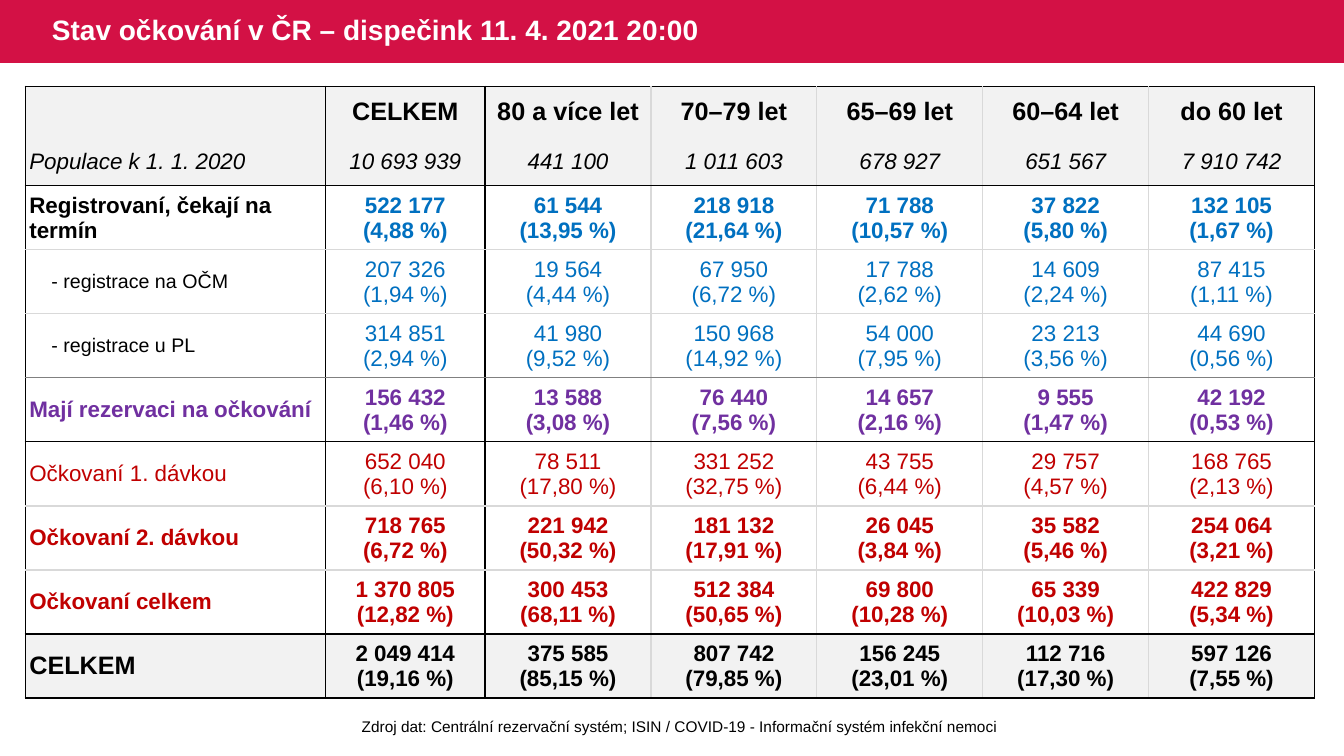
import copy
import dataclasses

import pptx
import pptx.dml.color
import pptx.enum.shapes
import pptx.enum.text
import pptx.oxml
import pptx.oxml.ns
import pptx.util

EMU_PER_PX = 9525
ANCHOR = pptx.enum.text.MSO_ANCHOR
ALIGN = pptx.enum.text.PP_ALIGN


@dataclasses.dataclass(frozen=True)
class Theme:
    font: str = "Arial"
    band: str = "D31145"
    white: str = "FFFFFF"
    black: str = "000000"
    shade: str = "F2F2F2"
    light: str = "D9D9D9"
    mid: str = "808080"
    blue: str = "0070C0"
    purple: str = "7030A0"
    red: str = "C00000"
    title: int = 20
    head: int = 18
    body: int = 16
    sub: int = 14
    source: int = 11


T = Theme()

COLUMN_WIDTHS = [286, 152] + [158] * 5
ROW_HEIGHTS = [49, 46] + [61] * 8
VERTICAL_EDGES = [T.black] * 3 + [T.light] * 4 + [T.black]
HORIZONTAL_EDGES = [T.black, None, T.black, T.light, T.light, T.mid,
                    T.black, T.light, T.light, T.black, T.black]
SHADED_ROWS = (0, 1, 9)

HEAD = dict(size=T.head, bold=True)
POPULATION = dict(italic=True)
PLAIN = dict()
BOLD = dict(bold=True)
SUB = dict(size=T.sub, indent=21)
TOTAL = dict(size=T.head, bold=True)

ROWS = [
    ("", HEAD, HEAD, "CELKEM; 80 a více let; 70–79 let; 65–69 let; 60–64 let; do 60 let"),
    ("Populace k 1. 1. 2020", POPULATION, POPULATION,
     "10 693 939; 441 100; 1 011 603; 678 927; 651 567; 7 910 742"),
    ("Registrovaní, čekají na termín", BOLD, dict(BOLD, color=T.blue),
     "522 177 (4,88 %); 61 544 (13,95 %); 218 918 (21,64 %); "
     "71 788 (10,57 %); 37 822 (5,80 %); 132 105 (1,67 %)"),
    ("- registrace na OČM", SUB, dict(color=T.blue),
     "207 326 (1,94 %); 19 564 (4,44 %); 67 950 (6,72 %); "
     "17 788 (2,62 %); 14 609 (2,24 %); 87 415 (1,11 %)"),
    ("- registrace u PL", SUB, dict(color=T.blue),
     "314 851 (2,94 %); 41 980 (9,52 %); 150 968 (14,92 %); "
     "54 000 (7,95 %); 23 213 (3,56 %); 44 690 (0,56 %)"),
    ("Mají rezervaci na očkování", dict(BOLD, color=T.purple), dict(BOLD, color=T.purple),
     "156 432 (1,46 %); 13 588 (3,08 %); 76 440 (7,56 %); "
     "14 657 (2,16 %); 9 555 (1,47 %); 42 192 (0,53 %)"),
    ("Očkovaní 1. dávkou", dict(PLAIN, color=T.red), dict(PLAIN, color=T.red),
     "652 040 (6,10 %); 78 511 (17,80 %); 331 252 (32,75 %); "
     "43 755 (6,44 %); 29 757 (4,57 %); 168 765 (2,13 %)"),
    ("Očkovaní 2. dávkou", dict(BOLD, color=T.red), dict(BOLD, color=T.red),
     "718 765 (6,72 %); 221 942 (50,32 %); 181 132 (17,91 %); "
     "26 045 (3,84 %); 35 582 (5,46 %); 254 064 (3,21 %)"),
    ("Očkovaní celkem", dict(BOLD, color=T.red), dict(BOLD, color=T.red),
     "1 370 805 (12,82 %); 300 453 (68,11 %); 512 384 (50,65 %); "
     "69 800 (10,28 %); 65 339 (10,03 %); 422 829 (5,34 %)"),
    ("CELKEM", TOTAL, BOLD,
     "2 049 414 (19,16 %); 375 585 (85,15 %); 807 742 (79,85 %); "
     "156 245 (23,01 %); 112 716 (17,30 %); 597 126 (7,55 %)"),
]


def px(n):
    return pptx.util.Emu(n * EMU_PER_PX)


def rgb(color):
    return pptx.dml.color.RGBColor.from_string(color)


def set_attrs(obj, values):
    for name, value in values.items():
        setattr(obj, name, value)


def write(p, text, size=T.body, color=T.black, bold=False, italic=False, indent=0):
    p.text = text
    for r in p.runs:
        set_attrs(r.font, dict(name=T.font, size=pptx.util.Pt(size), bold=bold, italic=italic))
        r.font.color.rgb = rgb(color)
    for br in p._p.findall(pptx.oxml.ns.qn("a:br")):
        br.append(copy.deepcopy(p.runs[0]._r.rPr))
    if indent:
        p._p.get_or_add_pPr().set("marL", str(px(indent)))


def add_text(s, box, text, wrap, anchor, **style):
    tf = s.shapes.add_textbox(*map(px, box)).text_frame
    set_attrs(tf, dict(word_wrap=wrap, vertical_anchor=anchor))
    write(tf.paragraphs[0], text, **style)
    return tf


def add_band(s, box):
    sp = s.shapes.add_shape(pptx.enum.shapes.MSO_SHAPE.RECTANGLE, *map(px, box))
    sp.shadow.inherit = False
    sp.fill.solid()
    sp.fill.fore_color.rgb = rgb(T.band)
    sp.line.fill.background()


def set_borders(cell, row, col):
    edges = [("lnL", VERTICAL_EDGES[col]), ("lnR", VERTICAL_EDGES[col + 1]),
             ("lnT", HORIZONTAL_EDGES[row]), ("lnB", HORIZONTAL_EDGES[row + 1])]
    tcPr = cell._tc.get_or_add_tcPr()
    for i, (tag, color) in enumerate(edges):
        fill = f'<a:solidFill><a:srgbClr val="{color}"/></a:solidFill>' if color else "<a:noFill/>"
        ln = f'<a:{tag} {pptx.oxml.ns.nsdecls("a")} w="12700">{fill}</a:{tag}>'
        tcPr.insert(i, pptx.oxml.parse_xml(ln))


def fill_cell(cell, row, col, text, style):
    side, top = (4, 0) if col == 0 or row == 0 else (1, 1)
    set_attrs(cell, dict(margin_left=px(side), margin_right=px(side), margin_top=px(top),
                         margin_bottom=0, vertical_anchor=ANCHOR.MIDDLE))
    if row in SHADED_ROWS:
        cell.fill.solid()
        cell.fill.fore_color.rgb = rgb(T.shade)
    else:
        cell.fill.background()
    set_borders(cell, row, col)
    p = cell.text_frame.paragraphs[0]
    p.alignment = ALIGN.CENTER if col else ALIGN.LEFT
    write(p, text, **style)


def add_vaccination_table(s, left, top):
    size = (sum(COLUMN_WIDTHS), sum(ROW_HEIGHTS))
    frame = s.shapes.add_table(len(ROWS), len(COLUMN_WIDTHS), *map(px, (left, top, *size)))
    table = frame.table
    set_attrs(table, dict(first_row=False, horz_banding=False))
    for column, width in zip(table.columns, COLUMN_WIDTHS):
        column.width = px(width)
    for row, (label, label_style, value_style, values) in enumerate(ROWS):
        table.rows[row].height = px(ROW_HEIGHTS[row])
        fill_cell(table.cell(row, 0), row, 0, label, label_style)
        for col, value in enumerate(values.split("; "), 1):
            fill_cell(table.cell(row, col), row, col, value.replace(" (", "\n("), value_style)


def main():
    prs = pptx.Presentation()
    set_attrs(prs, dict(slide_width=px(1280), slide_height=px(720)))
    s = prs.slides.add_slide(prs.slide_layouts[6])
    add_band(s, (0, 0, 1280, 60))
    tf = add_text(s, (40, 0, 692, 60), "Stav očkování v ČR – dispečink 11. 4. 2021 20:00",
                  True, ANCHOR.MIDDLE, size=T.title, color=T.white, bold=True)
    tf.paragraphs[0].line_spacing = 0.9
    add_vaccination_table(s, 24, 82)
    tf = add_text(s, (335, 678, 628, 28),
                  "Zdroj dat: Centrální rezervační systém; ISIN / COVID-19 - "
                  "Informační systém infekční nemoci",
                  False, ANCHOR.TOP, size=T.source)
    tf.auto_size = pptx.enum.text.MSO_AUTO_SIZE.SHAPE_TO_FIT_TEXT
    prs.save("out.pptx")


if __name__ == "__main__":
    main()
